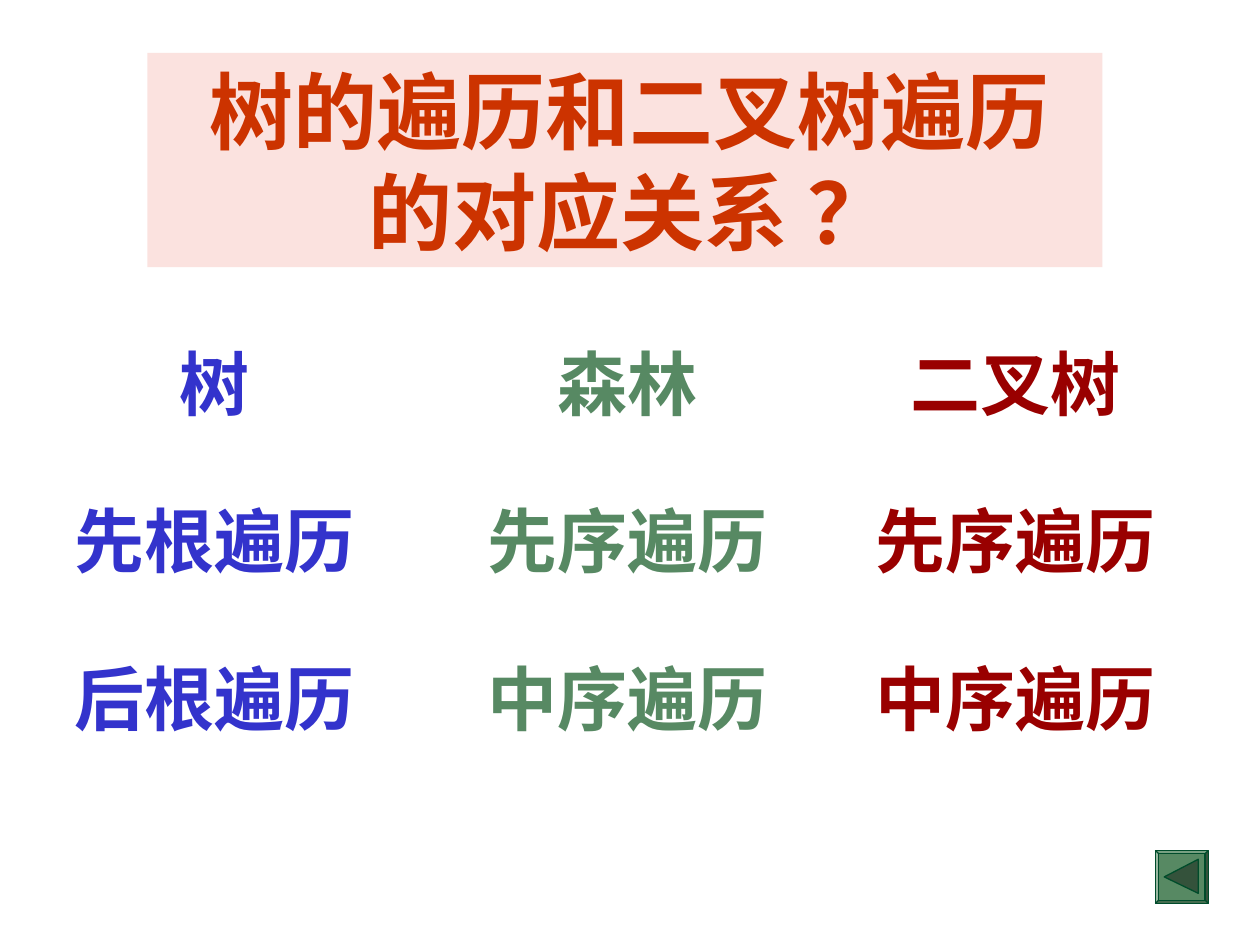
from dataclasses import dataclass

from pptx import Presentation
from pptx import util as u
from pptx.dml.color import RGBColor
from pptx.enum import shapes, text

TITLE = "树的遍历和二叉树遍历的对应关系 ？"
COLUMNS = [
    {"centre": 1.7, "colour": "3333CC", "entries": ["树", "先根遍历", "后根遍历"]},
    {"centre": 4.98, "colour": "578963", "entries": ["森林", "先序遍历", "中序遍历"]},
    {"centre": 8.06, "colour": "990000", "entries": ["二叉树", "先序遍历", "中序遍历"]},
]
FIRST_ROW, ROW_STEP, ROW_HEIGHT = 2.65, 1.25, 0.77
BUTTON_LEFT, BUTTON_TOP, BUTTON_SIZE = 9.17, 6.75, 0.42


@dataclass(frozen=True)
class Theme:
    font: str = "Times New Roman"
    title_size: int = 48
    entry_size: int = 40
    title_colour: str = "CC3300"
    title_fill: str = "FBE2DF"
    button_fill: str = "578963"
    arrow_fill: str = "34523B"
    button_line: str = "004C2B"


THEME = Theme()


def colour(value):
    return RGBColor.from_string(value)


def write(shape, words, size, value):
    frame = shape.text_frame
    frame.text = words
    frame.auto_size = text.MSO_AUTO_SIZE.NONE
    frame.vertical_anchor = text.MSO_ANCHOR.TOP
    paragraph = frame.paragraphs[0]
    paragraph.alignment = text.PP_ALIGN.CENTER
    font = paragraph.font
    font.name, font.size, font.bold = THEME.font, u.Pt(size), True
    font.color.rgb = colour(value)


def paint(shape, fill):
    shape.shadow.inherit = False
    shape.fill.solid()
    shape.fill.fore_color.rgb = colour(fill)
    shape.line.color.rgb = colour(THEME.button_line)
    shape.line.width = u.Pt(0.75)


def add_title(slide):
    title = slide.shapes.title
    title.left, title.top = u.Inches(1.17), u.Inches(0.42)
    title.width, title.height = u.Inches(7.58), u.Inches(1.7)
    title.fill.solid()
    title.fill.fore_color.rgb = colour(THEME.title_fill)
    write(title, TITLE, THEME.title_size, THEME.title_colour)
    title.text_frame.margin_left = u.Inches(0.18)


def add_columns(slide):
    for column in COLUMNS:
        for row, words in enumerate(column["entries"]):
            width = 0.2 + len(words) * THEME.entry_size / 72
            box = slide.shapes.add_textbox(
                u.Inches(column["centre"] - width / 2),
                u.Inches(FIRST_ROW + row * ROW_STEP),
                u.Inches(width), u.Inches(ROW_HEIGHT))
            write(box, words, THEME.entry_size, column["colour"])
            box.text_frame.word_wrap = False


def add_back_button(slide):
    button = slide.shapes.add_shape(
        shapes.MSO_SHAPE.BEVEL, u.Inches(BUTTON_LEFT), u.Inches(BUTTON_TOP),
        u.Inches(BUTTON_SIZE), u.Inches(BUTTON_SIZE))
    button.adjustments[0] = 0.06
    paint(button, THEME.button_fill)
    builder = slide.shapes.build_freeform(
        u.Inches(9.24), u.Inches(6.96), scale=1.0)
    builder.add_line_segments(
        [(u.Inches(9.51), u.Inches(6.82)), (u.Inches(9.51), u.Inches(7.09))],
        close=True)
    paint(builder.convert_to_shape(), THEME.arrow_fill)


def main():
    presentation = Presentation()
    presentation.slide_width, presentation.slide_height = u.Inches(10), u.Inches(7.5)
    slide = presentation.slides.add_slide(presentation.slide_layouts[5])
    add_title(slide)
    add_columns(slide)
    add_back_button(slide)
    presentation.save("out.pptx")


if __name__ == "__main__":
    main()
